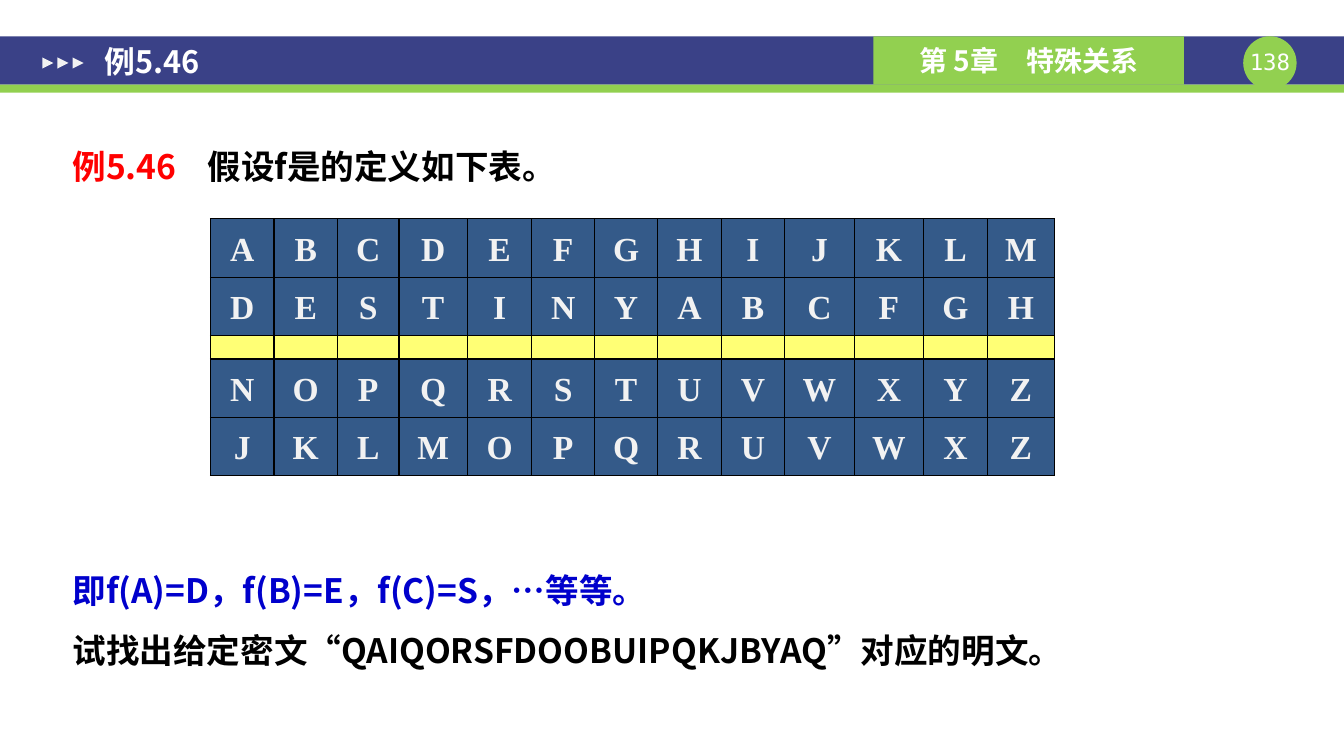
from lxml.etree import SubElement
from pptx import Presentation
from pptx.dml.color import RGBColor
from pptx.enum.shapes import MSO_SHAPE as Shape
from pptx.enum.text import MSO_ANCHOR as Anchor, MSO_AUTO_SIZE as AutoSize, PP_ALIGN as Align
from pptx.oxml import parse_xml
from pptx.oxml.ns import nsdecls, qn
from pptx.util import Inches, Pt

SANS, MONO, SERIF = "Noto Sans CJK SC", "DejaVu Sans Mono", "Times New Roman"
NAVY, GREEN, WHITE, PALE = "3A4187", "92D050", "FFFFFF", "F2F2F2"
BLACK, RED, BLUE = "000000", "FF0000", "0000CC"
CIPHER_ROWS = ["ABCDEFGHIJKLM", "DESTINYABCFGH", "", "NOPQRSTUVWXYZ", "JKLMOPQRUVWXZ"]
COLUMN_WIDTHS = [0.63, 0.63, 0.61, 0.68, 0.64, 0.62, 0.63, 0.63, 0.63, 0.69, 0.69, 0.63, 0.67]


def color(hex_string):
    return RGBColor.from_string(hex_string)


def style(para, size, font, ink, bold=True, align=Align.LEFT, spacing=None):
    para.alignment = align
    para.line_spacing = spacing
    para.font.size, para.font.name, para.font.bold = Pt(size), font, bold
    para.font.color.rgb = color(ink)
    defaults = para._p.pPr.find(qn("a:defRPr"))
    SubElement(defaults, qn("a:ea")).set("typeface", font)


def set_margins(frame, side, end):
    frame.margin_left = frame.margin_right = Inches(side)
    frame.margin_top = frame.margin_bottom = Inches(end)


def add_block(slide, kind, box, fill):
    block = slide.shapes.add_shape(kind, *map(Inches, box))
    block.shadow.inherit = False
    block.fill.solid()
    block.fill.fore_color.rgb = color(fill)
    block.line.fill.background()
    return block


def add_text_box(slide, box, side, end):
    frame = slide.shapes.add_textbox(*map(Inches, box)).text_frame
    frame.word_wrap = True
    set_margins(frame, side, end)
    return frame


def add_header(slide, box, title_text, chapter, number):
    left, top, width, height = box
    add_block(slide, Shape.RECTANGLE, (left, top, width, height), NAVY)
    add_block(slide, Shape.RECTANGLE, (left, top + height, width, 0.08), GREEN)

    badge, badge_left = 0.53, left + width - 1
    add_block(slide, Shape.OVAL, (badge_left, top, badge, badge), GREEN)
    frame = add_text_box(slide, (badge_left, top + 0.12, badge, 0.27), 0, 0)
    frame.text = number
    style(frame.paragraphs[0], 16, MONO, WHITE, bold=False, align=Align.CENTER)

    tab = add_block(slide, Shape.RECTANGLE, (left + 8.67, top, 3.08, height), GREEN)
    tab.text_frame.text = chapter
    tab.text_frame.vertical_anchor = Anchor.MIDDLE
    style(tab.text_frame.paragraphs[0], 20, SANS, WHITE, align=Align.CENTER)

    for index in range(3):
        arrow_box = (left + 0.42 + 0.15 * index, top + 0.21, 0.11, 0.11)
        add_block(slide, Shape.ISOSCELES_TRIANGLE, arrow_box, PALE).rotation = 90

    title = slide.shapes.title
    title.left, title.top = Inches(left + 0.91), Inches(top - 0.07)
    title.width, title.height = Inches(11.77), Inches(0.64)
    frame = title.text_frame
    frame.text = title_text
    frame.auto_size = AutoSize.NONE
    frame.vertical_anchor = Anchor.MIDDLE
    set_margins(frame, 0.13, 0.07)
    style(frame.paragraphs[0], 22, SANS, WHITE)
    slide.shapes._spTree.append(title._element)  # bring the title in front of the bars


def add_premise(slide, box, label, statement):
    frame = add_text_box(slide, box, 0.13, 0.07)
    para = frame.paragraphs[0]
    tabs = SubElement(para._p.get_or_add_pPr(), qn("a:tabLst"))
    SubElement(tabs, qn("a:tab"), pos=str(Inches(1.34)), algn="l")
    for text, ink in ((label + "\t", RED), (statement, BLACK)):
        span = para.add_run()
        span.text = text
        span.font.color.rgb = color(ink)
    style(para, 24, SANS, BLACK, spacing=1.5)


def add_task(slide, box, lines):
    frame = add_text_box(slide, box, 0.13, 0.07)
    for index, (text, ink) in enumerate(lines):
        para = frame.add_paragraph() if index else frame.paragraphs[0]
        para.text = text
        style(para, 24, SANS, ink, spacing=1.5)


def paint_cell(cell, fill):
    """Give the cell a 90 % opaque fill and thin black borders."""
    cell.fill.solid()
    cell.fill.fore_color.rgb = color(fill)
    properties = cell._tc.tcPr
    SubElement(properties.find(".//" + qn("a:srgbClr")), qn("a:alpha")).set("val", "90000")
    for index, side in enumerate("LRTB"):
        properties.insert(index, parse_xml(
            f'<a:ln{side} {nsdecls("a")} w="12700"><a:solidFill>'
            f'<a:srgbClr val="{BLACK}"/></a:solidFill></a:ln{side}>'))


def add_cipher_table(slide, box):
    shape = slide.shapes.add_table(len(CIPHER_ROWS), len(COLUMN_WIDTHS), *map(Inches, box))
    table = shape.table
    table.first_row = table.horz_banding = False
    for column, width in zip(table.columns, COLUMN_WIDTHS):
        column.width = Inches(width)
    for row, letters in zip(table.rows, CIPHER_ROWS):
        row.height = Inches(0.58 if letters else 0.23)
        for index, cell in enumerate(row.cells):
            para = cell.text_frame.paragraphs[0]
            if letters:
                para.text = letters[index]
                style(para, 24, SERIF, PALE, align=Align.CENTER, spacing=1.2)
            else:
                cell.margin_top = cell.margin_bottom = 0
                para._p.get_or_add_endParaRPr().set("sz", "600")
            paint_cell(cell, "1F497D" if letters else "FFFF66")


def main():
    deck = Presentation()
    deck.slide_width, deck.slide_height = Inches(13.34), Inches(7.5)
    slide = deck.slides.add_slide(deck.slide_layouts[5])
    add_header(slide, (0, 0.36, 13.34, 0.48), "例5.46", "第 5章　特殊关系", "138")
    add_premise(slide, (0.59, 1.18, 12.25, 0.75), "例5.46", "假设f是的定义如下表。")
    add_cipher_table(slide, (2.09, 2.17, 8.36, 2.55))
    add_task(slide, (0.59, 5.38, 12.25, 1.35), [
        ("即f(A)=D，f(B)=E，f(C)=S，…等等。", BLUE),
        ("试找出给定密文“QAIQORSFDOOBUIPQKJBYAQ”对应的明文。", BLACK),
    ])
    deck.save("out.pptx")


if __name__ == "__main__":
    main()
